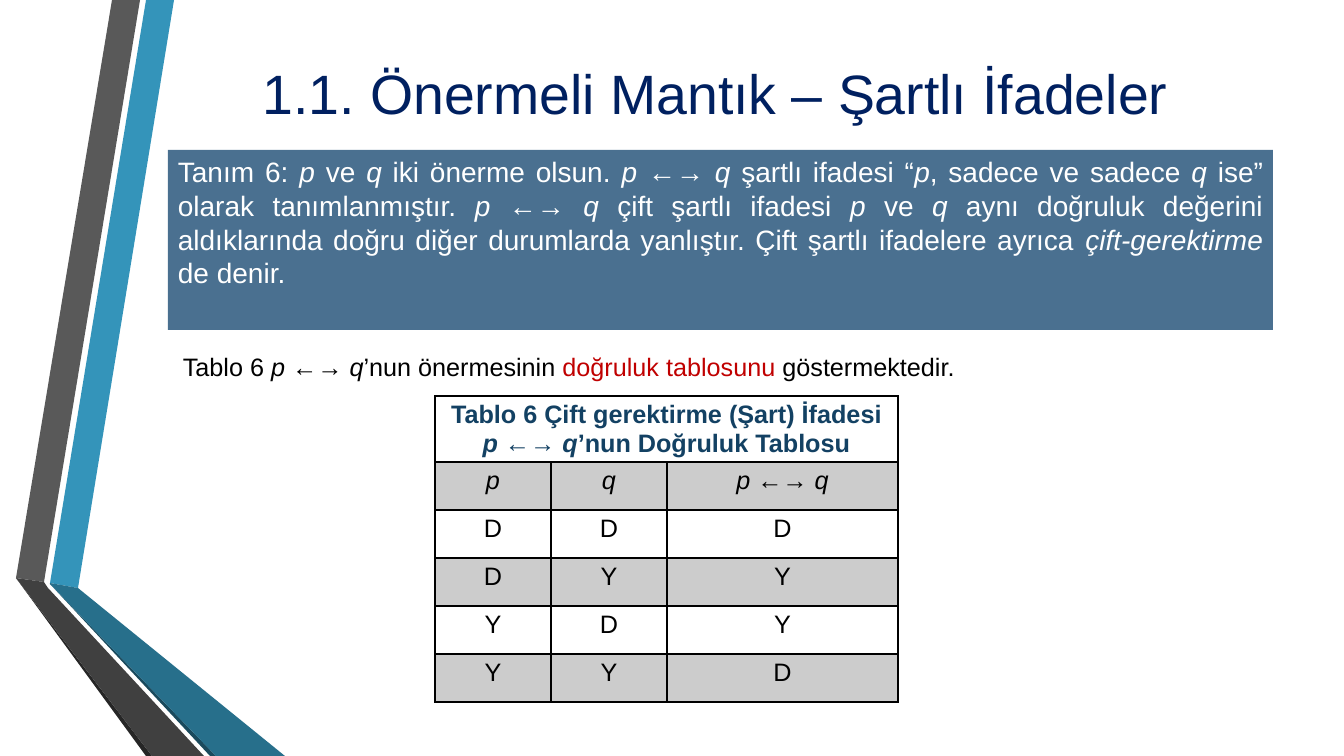
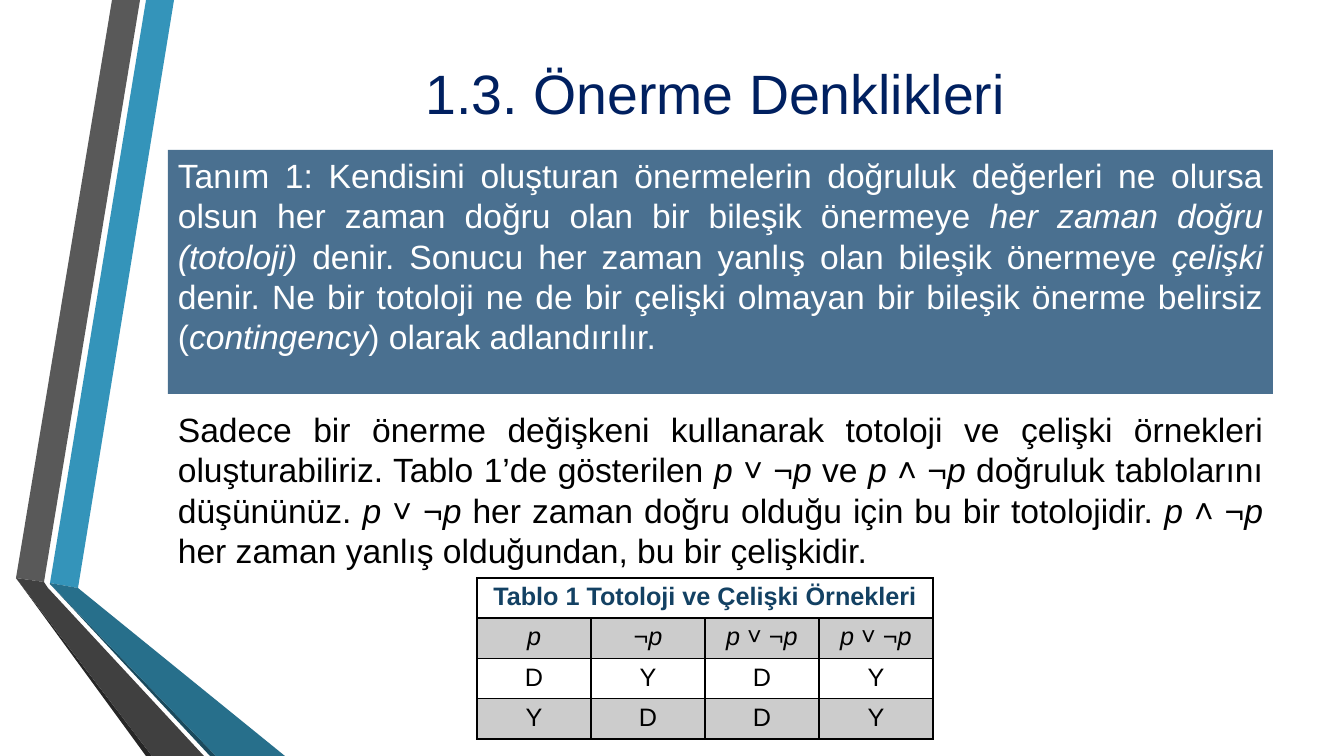
from lxml import etree
from pptx import Presentation
from pptx.dml.color import RGBColor
from pptx.enum.shapes import MSO_SHAPE as Preset
from pptx.enum.text import MSO_ANCHOR as Anchor, MSO_AUTO_SIZE as AutoSize, PP_ALIGN as Align
from pptx.oxml import parse_xml
from pptx.oxml.ns import qn
from pptx.util import Emu, Pt

PX = 914400 / 100.8
FONT = "Arial"
NAVY, PANEL, HEADING = "002060", "4A7090", "134163"
BLACK, WHITE, RED, STRIPE = "000000", "FFFFFF", "C00000", "CCCCCC"
LEFT, WIDTH = 168, 1105
TITLE_BOX = (163, 11, 1105, 162)
PANEL_TOP = 150

RIBBONS = [
    ("3494BA", [(50, 583), (78, 588), (174, 0), (146, 0)]),
    ("595959", [(140, 0), (112, 0), (16, 578), (44, 582)]),
    ("262626", [(16, 578), (146, 756), (152, 756)]),
    ("1A4A5D", [(50, 584), (210, 756), (216, 756)]),
    ("276F8B", [(50, 583), (50, 584), (216, 756), (285, 756), (78, 588)]),
    ("404040", [(16, 578), (152, 756), (204, 756), (48, 588), (44, 582)]),
]

SLIDES = [
    {
        "title": "1.1. Önermeli Mantık – Şartlı İfadeler",
        "definition": "Tanım 6: *p* ve *q* iki önerme olsun. *p* ←→ *q* şartlı ifadesi “*p*, sadece ve "
                      "sadece *q* ise” olarak tanımlanmıştır. *p* ←→ *q* çift şartlı ifadesi *p* ve *q* "
                      "aynı doğruluk değerini aldıklarında doğru diğer durumlarda yanlıştır. Çift şartlı "
                      "ifadelere ayrıca *çift-gerektirme* de denir.",
        "definition_size": 20,
        "definition_height": 180,
        "body": "Tablo 6 *p* ←→ *q*’nun önermesinin |doğruluk tablosunu| göstermektedir.",
        "body_size": 18,
        "body_box": (173, 346, 1100, 40),
        "body_align": Align.LEFT,
        "table_title": "Tablo 6 Çift gerektirme (Şart) İfadesi *p* ←→ *q*’nun Doğruluk Tablosu",
        "table_rows": [["*p*", "*q*", "*p* ←→ *q*"], "DDD", "DYY", "YDY", "YYD"],
        "table_at": (435, 396),
        "columns": [116, 116, 231],
        "title_row": 66,
        "row": 48,
    },
    {
        "title": "1.3. Önerme Denklikleri",
        "definition": "Tanım 1: Kendisini oluşturan önermelerin doğruluk değerleri ne olursa olsun her "
                      "zaman doğru olan bir bileşik önermeye *her zaman doğru (totoloji)* denir. Sonucu "
                      "her zaman yanlış olan bileşik önermeye *çelişki* denir. Ne bir totoloji ne de bir "
                      "çelişki olmayan bir bileşik önerme belirsiz (*contingency*) olarak adlandırılır.",
        "definition_size": 24,
        "definition_height": 244,
        "body": "Sadece bir önerme değişkeni kullanarak totoloji ve çelişki örnekleri oluşturabiliriz. "
                "Tablo 1’de gösterilen *p* ˅ ¬*p* ve *p* ˄ ¬*p* doğruluk tablolarını düşününüz. "
                "*p* ˅ ¬*p* her zaman doğru olduğu için bu bir totolojidir. *p* ˄ ¬*p* her zaman yanlış "
                "olduğundan, bu bir çelişkidir.",
        "body_size": 24,
        "body_box": (LEFT, 404, WIDTH, 172),
        "body_align": Align.JUSTIFY,
        "table_title": "Tablo 1 Totoloji ve Çelişki Örnekleri",
        "table_rows": [["*p*", "¬*p*", "*p* ˅ ¬*p*", "*p* ˅ ¬*p*"], "DYDY", "YDDY"],
        "table_at": (477, 578),
        "columns": [114] * 4,
        "title_row": 40,
        "row": 40,
    },
]


def px(value):
    return Emu(round(value * PX))


def rgb(value):
    return RGBColor.from_string(value)


def place(*lengths):
    return [px(length) for length in lengths]


def write(frame, text, size, color, align, bold=False):
    para = frame.paragraphs[0]
    para.alignment = align
    for red, phrase in enumerate(text.split("|")):
        for italic, words in enumerate(phrase.split("*")):
            if words:
                span = para.add_run()
                span.text = words
                font = span.font
                font.name, font.size, font.bold = FONT, Pt(size), bold
                font.italic = italic % 2 == 1
                font.color.rgb = rgb(RED if red % 2 else color)


def add_ribbons(page, layout):
    for index, (color, points) in enumerate(RIBBONS):
        builder = page.shapes.build_freeform(*points[0], scale=PX)
        builder.add_line_segments(points[1:], close=True)
        ribbon = builder.convert_to_shape()
        ribbon.shadow.inherit = False
        ribbon.fill.solid()
        ribbon.fill.fore_color.rgb = rgb(color)
        ribbon.line.fill.background()
        layout.shapes.element.insert(2 + index, ribbon.element)


def add_title(page, text):
    frame = page.shapes.title.text_frame
    frame.auto_size = AutoSize.NONE
    frame.vertical_anchor = Anchor.MIDDLE
    write(frame, text, 39.6, NAVY, Align.CENTER)


def add_definition(page, text, size, height):
    panel = page.shapes.add_shape(Preset.RECTANGLE, *place(LEFT, PANEL_TOP, WIDTH, height))
    panel.shadow.inherit = False
    panel.fill.solid()
    panel.fill.fore_color.rgb = rgb(PANEL)
    panel.line.fill.background()
    panel.text_frame.word_wrap = True
    panel.text_frame.vertical_anchor = Anchor.TOP
    write(panel.text_frame, text, size, WHITE, Align.JUSTIFY)


def add_body(page, text, size, area, align):
    box = page.shapes.add_textbox(*place(*area))
    box.text_frame.word_wrap = True
    write(box.text_frame, text, size, BLACK, align)


def add_borders(cell):
    properties = cell._tc.get_or_add_tcPr()
    for index, side in enumerate(("lnL", "lnR", "lnT", "lnB")):
        border = parse_xml(
            f'<a:{side} xmlns:a="http://schemas.openxmlformats.org/drawingml/2006/main" w="12700"/>')
        fill = etree.SubElement(border, qn("a:solidFill"))
        etree.SubElement(fill, qn("a:srgbClr"), val=BLACK)
        properties.insert(index, border)


def add_truth_table(page, content):
    columns, rows = content["columns"], content["table_rows"]
    heights = [content["title_row"]] + [content["row"]] * len(rows)
    area = place(*content["table_at"], sum(columns), sum(heights))
    table = page.shapes.add_table(len(heights), len(columns), *area).table
    table.first_row = table.horz_banding = False
    for column, width in zip(table.columns, columns):
        column.width = px(width)
    for row, height in zip(table.rows, heights):
        row.height = px(height)
    for index, row in enumerate(table.rows):
        for cell in row.cells:
            if index % 2:
                cell.fill.solid()
                cell.fill.fore_color.rgb = rgb(STRIPE)
            else:
                cell.fill.background()
            add_borders(cell)
    heading = table.cell(0, 0)
    heading.merge(table.cell(0, len(columns) - 1))
    heading.margin_bottom = 0
    write(heading.text_frame, content["table_title"], 18, HEADING, Align.CENTER, bold=True)
    for row_index, values in enumerate(rows, 1):
        for column_index, value in enumerate(values):
            frame = table.cell(row_index, column_index).text_frame
            write(frame, value, 18, BLACK, Align.CENTER)


def main():
    deck = Presentation()
    deck.slide_width, deck.slide_height = place(1344, 756)
    layout = deck.slide_layouts.get_by_name("Title Only")
    title = layout.placeholders[0]
    title.left, title.top, title.width, title.height = place(*TITLE_BOX)
    for index, content in enumerate(SLIDES):
        page = deck.slides.add_slide(layout)
        if index == 0:
            add_ribbons(page, layout)
        add_title(page, content["title"])
        add_definition(page, content["definition"], content["definition_size"], content["definition_height"])
        add_body(page, content["body"], content["body_size"], content["body_box"], content["body_align"])
        add_truth_table(page, content)
    deck.save("out.pptx")


if __name__ == "__main__":
    main()
